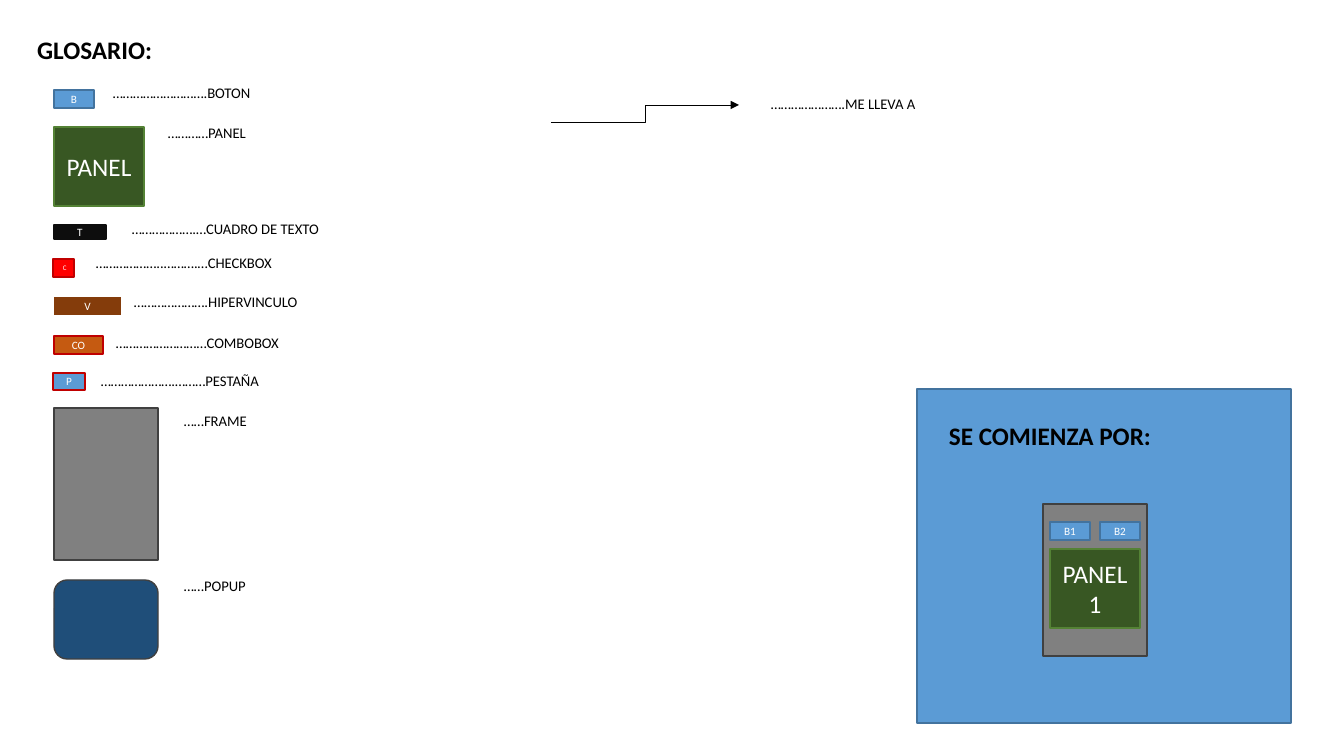
from lxml import etree
from pptx import Presentation
from pptx import util as u
from pptx.dml.color import RGBColor
from pptx.enum import shapes, text
from pptx.oxml.ns import qn

EMU_PER_PIXEL = 914400 / 100.8
RECT = shapes.MSO_SHAPE.RECTANGLE
ROUNDED = shapes.MSO_SHAPE.ROUNDED_RECTANGLE
BLUE, BLUE_EDGE, RED_EDGE = "5B9BD5", "43739E", "C00000"
BUTTON = (BLUE, BLUE_EDGE)
PANEL = ("385723", "548235")
FRAME = ("808080", "404040")


def px(pixels):
    """Turn pixels into EMU."""
    return u.Emu(round(pixels * EMU_PER_PIXEL))


def color(hex_string):
    """Turn a hex string into a colour."""
    return RGBColor.from_string(hex_string)


def dots(*counts):
    """Build a leader of ellipses, with one full stop between the groups."""
    return ".".join("…" * count for count in counts)


class Sketch:
    """Holds the style and the current slide."""

    font = "Calibri"
    ink = "000000"
    heading_size, label_size = 18, 10.5

    def __init__(self, slide):
        """Keep the slide to draw on."""
        self.slide = slide

    def set_words(self, frame, words, size, ink, align, bold=False):
        """Fill a text frame with one formatted paragraph."""
        frame.text = words
        frame.word_wrap = True
        paragraph = frame.paragraphs[0]
        paragraph.alignment = align
        for run in paragraph.runs:
            run.font.name = self.font
            run.font.size = u.Pt(size)
            run.font.bold = bold
            run.font.color.rgb = color(ink)

    def fit(self, frame, words, size, bold):
        """Set left-aligned text from the top of a growing frame."""
        self.set_words(frame, words, size, self.ink, text.PP_ALIGN.LEFT, bold)
        frame.vertical_anchor = text.MSO_ANCHOR.TOP
        frame.auto_size = text.MSO_AUTO_SIZE.SHAPE_TO_FIT_TEXT

    def title(self, words, x, y, w, h):
        """Move and format the title placeholder."""
        title = self.slide.shapes.title
        title.left, title.top, title.width, title.height = map(px, (x, y, w, h))
        self.fit(title.text_frame, words, self.heading_size, True)

    def label(self, words, x, y, w, h=28, size=label_size, bold=False):
        """Add a text box."""
        box = self.slide.shapes.add_textbox(*map(px, (x, y, w, h)))
        self.fit(box.text_frame, words, size, bold)

    def block(self, x, y, w, h, colors, words="", size=8, kind=RECT):
        """Add a filled and outlined shape with centred text."""
        fill, edge = colors
        block = self.slide.shapes.add_shape(kind, *map(px, (x, y, w, h)))
        block.shadow.inherit = False
        block.fill.solid()
        block.fill.fore_color.rgb = color(fill)
        block.line.color.rgb = color(edge)
        block.line.width = u.Pt(1)
        if words:
            self.set_words(block.text_frame, words, size, "FFFFFF", text.PP_ALIGN.CENTER)
            block.text_frame.vertical_anchor = text.MSO_ANCHOR.MIDDLE

    def elbow_arrow(self, x1, y1, x2, y2):
        """Add a bent connector with an arrowhead at its end."""
        arrow = self.slide.shapes.add_connector(
            shapes.MSO_CONNECTOR.ELBOW, *map(px, (x1, y1, x2, y2)))
        arrow.line.color.rgb = color(self.ink)
        arrow.line.width = u.Pt(0.5)
        properties = arrow.element.spPr
        etree.SubElement(properties.find(qn("a:ln")), qn("a:tailEnd"), type="triangle")
        etree.SubElement(properties, qn("a:effectLst"))


deck = Presentation()
deck.slide_width, deck.slide_height = px(1344), px(756)
sketch = Sketch(deck.slides.add_slide(deck.slide_layouts[5]))
sketch.title("GLOSARIO:", 27, 29, 194, 40)

# Glossary symbols: box, colours, text, text size, shape
symbols = [
    (54, 90, 40, 18, BUTTON, "B"),
    (54, 127, 90, 79, PANEL, "PANEL", 18),
    (54, 225, 52, 14, ("0D0D0D", "0D0D0D"), "T"),
    (53, 259, 21, 18, ("FF0000", RED_EDGE), "C", 5),
    (53, 296, 69, 20, ("843C0B", "FFFFFF"), "V"),
    (54, 336, 49, 18, ("C55A11", RED_EDGE), "CO"),
    (53, 373, 32, 17, (BLUE, RED_EDGE), "P"),
    (54, 408, 104, 152, FRAME),
    (54, 580, 104, 79, ("1F4E79", "404040"), "", 8, ROUNDED),
]
for symbol in symbols:
    sketch.block(*symbol)

# Glossary meanings: leader, word, left, top, width
meanings = [
    (dots(9, 0), "BOTON", 103, 79, 202),
    (dots(4), "PANEL", 158, 119, 146),
    (dots(6, 1), "CUADRO DE TEXTO", 122, 215, 235),
    (dots(6, 0, 3, 1), "CHECKBOX", 86, 249, 271),
    (dots(7, 0), "HIPERVINCULO", 124, 288, 271),
    (dots(9), "COMBOBOX", 106, 329, 271),
    (dots(7, 3), "PESTAÑA", 91, 367, 271),
    (dots(2), "FRAME", 174, 407, 240),
    (dots(2), "POPUP", 174, 572, 240),
    (dots(7, 0), "ME LLEVA A", 761, 90, 271),
]
for leader, word, x, y, width in meanings:
    sketch.label(leader + word, x, y, width)
sketch.elbow_arrow(551, 122, 739, 105)

# Starting point
sketch.block(917, 389, 374, 334, BUTTON)
sketch.label("SE COMIENZA POR:", 939, 415, 301, 40, sketch.heading_size, True)
sketch.block(1043, 504, 104, 152, FRAME)
for column, name in enumerate(("B1", "B2")):
    sketch.block(1050 + 50 * column, 522, 40, 18, BUTTON, name)
sketch.block(1050, 549, 90, 79, PANEL, "PANEL1", 18)

deck.save("out.pptx")
